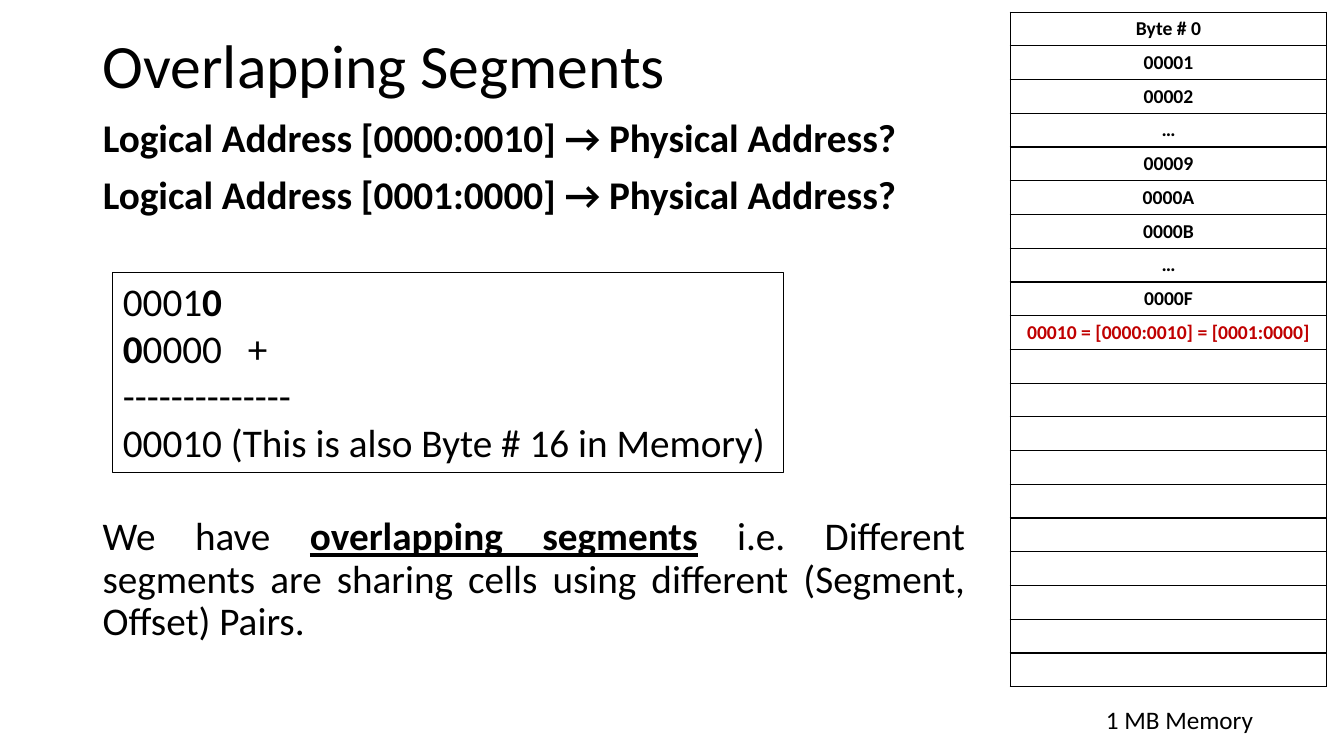
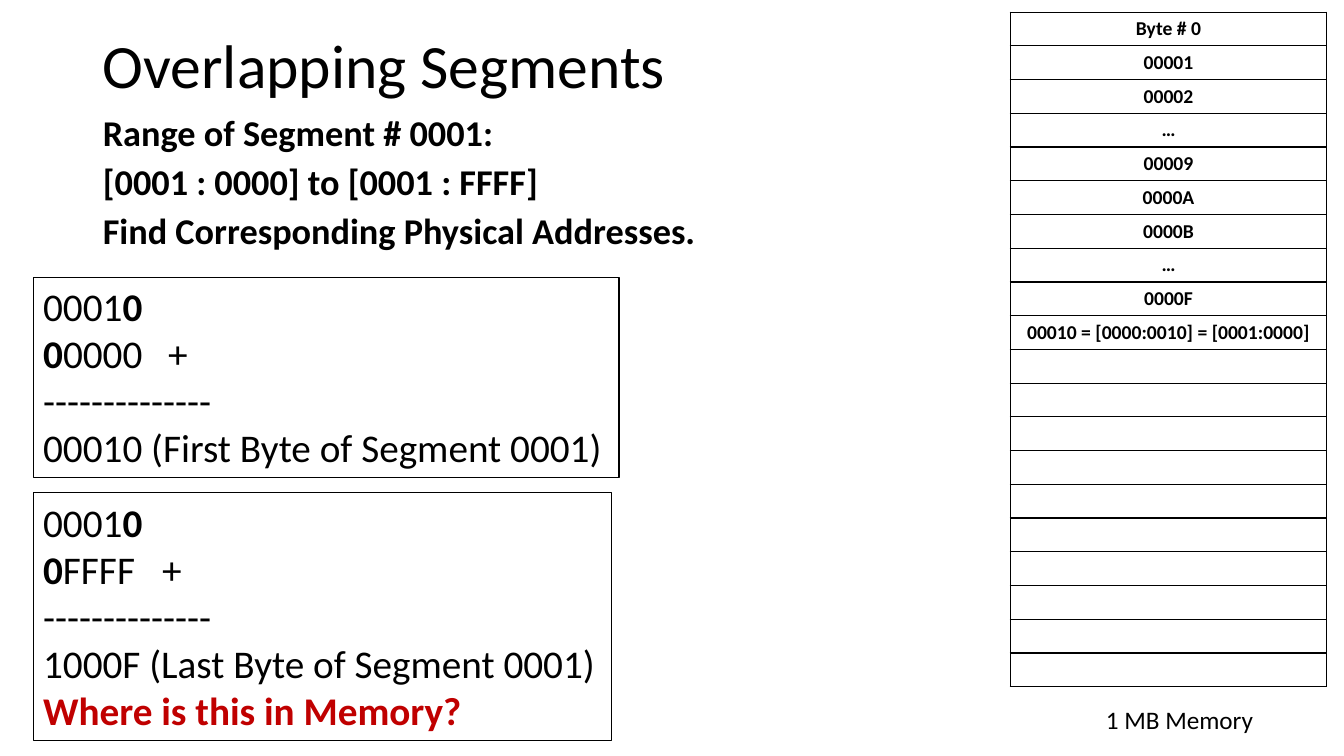
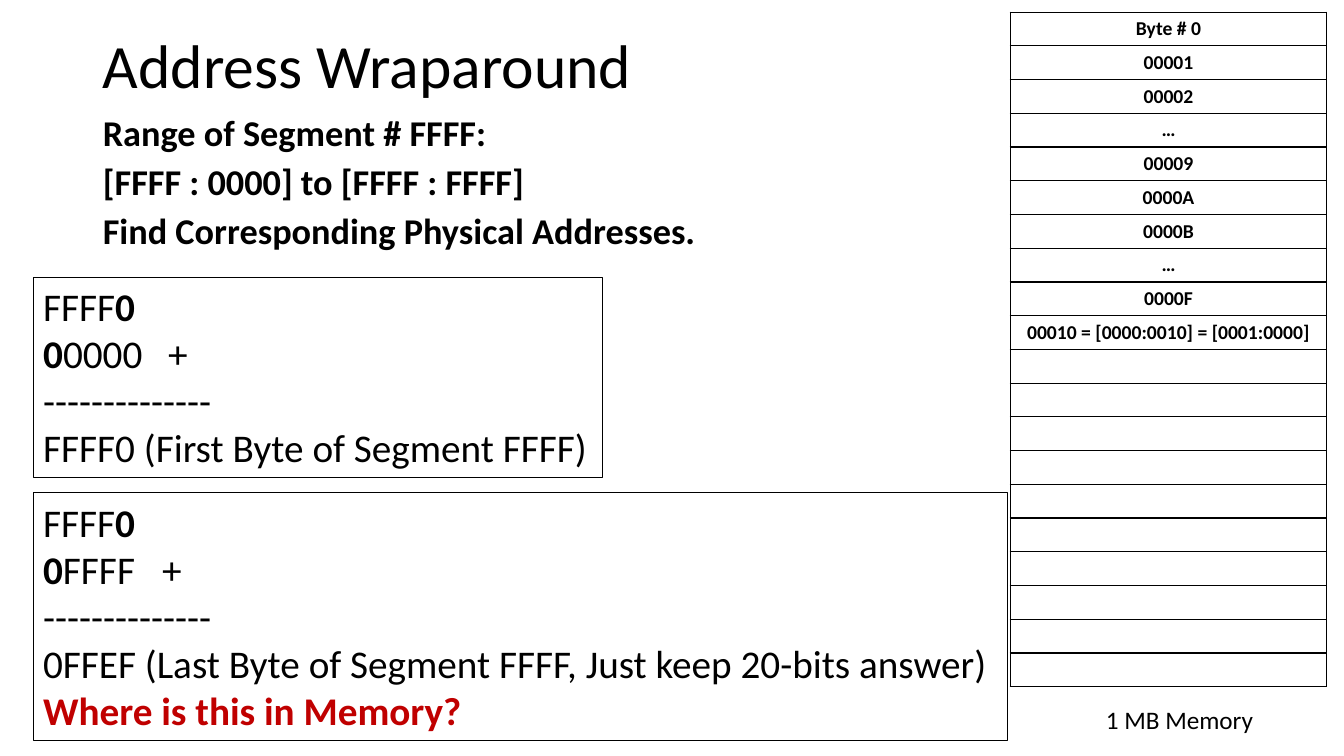
"""Build three slides on overlapping segments and address wraparound."""
from lxml.etree import SubElement
from pptx import Presentation
from pptx.dml.color import RGBColor
from pptx.enum.text import MSO_ANCHOR, MSO_AUTO_SIZE, PP_ALIGN
from pptx.oxml import parse_xml
from pptx.oxml.ns import nsdecls, qn
from pptx.util import Inches, Pt

BLACK, RED, WHITE = "000000", "C00000", "FFFFFF"
FONT = "Calibri"
RULE = "--------------"
QUESTION = "Where is this in Memory?"
MEMORY = ["Byte # 0", "00001", "00002", "…", "00009", "0000A", "0000B", "…",
          "0000F", "00010 = [0000:0010] = [0001:0000]"]
MEMORY_ROWS = 20
MEMORY_HEIGHT = Inches(6.7)


def color(code):
    """Turn a hex string into a colour."""
    return RGBColor.from_string(code)


def write(paragraph, text, size, bold=False, code=BLACK, underline=False):
    """Add one formatted run to a paragraph."""
    run = paragraph.add_run()
    run.text = text
    run.font.name = FONT
    run.font.size = Pt(size)
    run.font.bold = bold
    run.font.underline = underline
    run.font.color.rgb = color(code)


slides = [
    {"title": "Overlapping Segments", "size": 28, "spacing": 0.9,
     "points": ["Logical Address [0000:0010] → Physical Address?",
                "Logical Address [0001:0000] → Physical Address?"],
     "mark": RED,
     "sums": [(1.12, 2.7, 6.65, 1.99, "0001", "0000", 1.24,
               "00010 (This is also Byte # 16 in Memory)", "")],
     "conclusion": [("We have ", False, False),
                    ("overlapping segments", True, True),
                    (" ", True, False),
                    ("i.e. Different segments are sharing cells using "
                     "different (Segment, Offset) Pairs.", False, False)]},
    {"title": "Overlapping Segments", "size": 25.9, "spacing": 0.8,
     "points": ["Range of Segment # 0001:", "[0001 : 0000] to [0001 : FFFF]",
                "Find Corresponding Physical Addresses."],
     "mark": BLACK,
     "sums": [(0.33, 2.75, 5.81, 1.99, "0001", "0000", 1.24,
               "00010 (First Byte of Segment 0001)", ""),
              (0.33, 4.89, 5.74, 2.46, "0001", "FFFF", 1.18,
               "1000F (Last Byte of Segment 0001)", QUESTION)],
     "conclusion": []},
    {"title": "Address Wraparound", "size": 25.9, "spacing": 0.8,
     "points": ["Range of Segment # FFFF:", "[FFFF : 0000] to [FFFF : FFFF]",
                "Find Corresponding Physical Addresses."],
     "mark": BLACK,
     "sums": [(0.33, 2.75, 5.65, 1.99, "FFFF", "0000", 1.24,
               "FFFF0 (First Byte of Segment FFFF)", ""),
              (0.33, 4.89, 9.66, 2.46, "FFFF", "FFFF", 1.18,
               "0FFEF (Last Byte of Segment FFFF, Just keep 20-bits answer)",
               QUESTION)],
     "conclusion": []},
]

deck = Presentation()
deck.slide_width, deck.slide_height = Inches(13.33), Inches(7.5)
layout = deck.slide_layouts[1]
for part, place in zip(layout.placeholders, [(0.92, 0.23, 11.5, 0.9),
                                             (0.92, 1.13, 8.75, 1.47)]):
    part.left, part.top, part.width, part.height = map(Inches, place)

for content in slides:
    slide = deck.slides.add_slide(layout)
    heading = slide.shapes.title.text_frame
    heading.auto_size = MSO_AUTO_SIZE.NONE
    heading.vertical_anchor = MSO_ANCHOR.MIDDLE
    heading.paragraphs[0].alignment = PP_ALIGN.LEFT
    heading.paragraphs[0].line_spacing = 0.9
    write(heading.paragraphs[0], content["title"], 44)

    body = slide.placeholders[1].text_frame
    body.auto_size = MSO_AUTO_SIZE.NONE
    for index, point in enumerate(content["points"]):
        line = body.add_paragraph() if index else body.paragraphs[0]
        line.line_spacing = content["spacing"]
        line.space_before = Pt(10)
        properties = line._p.get_or_add_pPr()
        properties.set("marL", "0")
        properties.set("indent", "0")
        SubElement(properties, qn("a:buNone"))
        write(line, point, content["size"], bold=True)

    caption = slide.shapes.add_textbox(
        Inches(10.87), Inches(6.94), Inches(1.68), Inches(0.4)).text_frame
    caption.word_wrap = False
    caption.auto_size = MSO_AUTO_SIZE.SHAPE_TO_FIT_TEXT
    write(caption.paragraphs[0], "1 MB Memory", 18)

    memory = slide.shapes.add_table(
        MEMORY_ROWS, 1, Inches(10.02), Inches(0.12), Inches(3.14),
        MEMORY_HEIGHT).table
    memory.first_row = memory.horz_banding = False
    for index, row in enumerate(memory.rows):
        row.height = MEMORY_HEIGHT // MEMORY_ROWS
        cell = row.cells[0]
        cell.margin_top = cell.margin_bottom = Inches(0.04)
        cell.vertical_anchor = MSO_ANCHOR.MIDDLE
        cell.fill.solid()
        cell.fill.fore_color.rgb = color(WHITE)
        for order, side in enumerate(["lnL", "lnR", "lnT", "lnB"]):
            cell._tc.get_or_add_tcPr().insert(order, parse_xml(
                f'<a:{side} {nsdecls("a")} w="{Pt(1)}"><a:solidFill>'
                f'<a:srgbClr val="{BLACK}"/></a:solidFill></a:{side}>'))
        address = cell.text_frame.paragraphs[0]
        address.alignment = PP_ALIGN.CENTER
        if index < len(MEMORY):
            shared = index == len(MEMORY) - 1
            write(address, MEMORY[index], 14, bold=True,
                  code=content["mark"] if shared else BLACK)
        else:
            SubElement(address._p, qn("a:endParaRPr"), sz="1400")

    for left, top, width, height, segment, offset, stop, total, question in content["sums"]:
        frame = slide.shapes.add_textbox(*map(Inches, (left, top, width, height)))
        frame.line.color.rgb = color(BLACK)
        frame.line.width = Pt(0.75)
        addition = frame.text_frame
        addition.word_wrap = False
        addition.auto_size = MSO_AUTO_SIZE.SHAPE_TO_FIT_TEXT
        write(addition.paragraphs[0], segment, 28)
        write(addition.paragraphs[0], "0", 28, bold=True)
        addend = addition.add_paragraph()
        tabs = SubElement(addend._p.get_or_add_pPr(), qn("a:tabLst"))
        SubElement(tabs, qn("a:tab"), pos=str(Inches(stop)), algn="l")
        write(addend, "0", 28, bold=True)
        write(addend, f"{offset}\t+", 28)
        for text in (RULE, total):
            write(addition.add_paragraph(), text, 28)
        if question:
            write(addition.add_paragraph(), question, 28, bold=True, code=RED)

    if content["conclusion"]:
        conclusion = slide.shapes.add_textbox(
            Inches(0.92), Inches(5.08), Inches(8.75), Inches(1.47)).text_frame
        conclusion.word_wrap = True
        statement = conclusion.paragraphs[0]
        statement.alignment = PP_ALIGN.JUSTIFY
        statement.line_spacing = 0.9
        statement.space_before = Pt(10)
        for text, bold, underline in content["conclusion"]:
            write(statement, text, 28, bold=bold, underline=underline)

deck.save("out.pptx")
